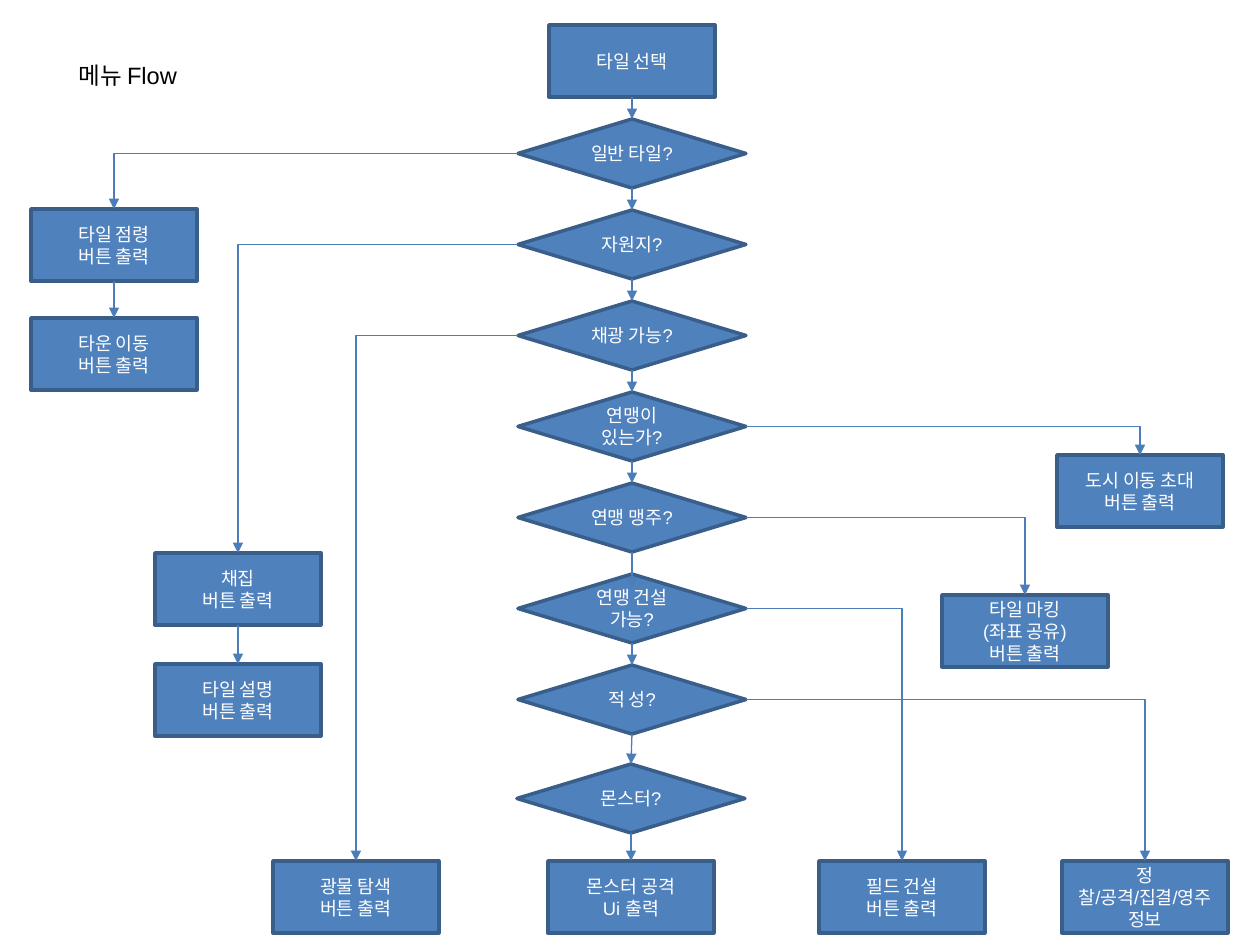
from dataclasses import dataclass

import pptx
import pptx.dml.color
import pptx.enum.shapes
import pptx.enum.text
import pptx.oxml.ns
import pptx.util
from lxml import etree

RGBColor = pptx.dml.color.RGBColor
MSO_SHAPE = pptx.enum.shapes.MSO_SHAPE
MSO_CONNECTOR = pptx.enum.shapes.MSO_CONNECTOR
MSO_ANCHOR = pptx.enum.text.MSO_ANCHOR
PP_ALIGN = pptx.enum.text.PP_ALIGN
qn = pptx.oxml.ns.qn

FILL = RGBColor(0x4F, 0x81, 0xBD)
BORDER = RGBColor(0x39, 0x5E, 0x89)
ARROW = RGBColor(0x4A, 0x7D, 0xBA)
WHITE = RGBColor(0xFF, 0xFF, 0xFF)
BLACK = RGBColor(0, 0, 0)

PX_PER_INCH = 126
BOX_W, BOX_H = 166, 72
DIAMOND_W, DIAMOND_H = 228, 69
DIAMOND_X, DIAMOND_Y, DIAMOND_PITCH = 518, 119, 91
RESULT_Y = 861
TOP, LEFT, BOTTOM, RIGHT = range(4)

NODE_FONT = {"name": "Arial", "size": pptx.util.Pt(10.5)}
TITLE_FONT = {"name": "Arial", "size": pptx.util.Pt(13.5), "bold": False}


@dataclass(frozen=True)
class Node:
    text: str
    x: int
    y: int
    w: int = BOX_W
    h: int = BOX_H
    kind: MSO_SHAPE = MSO_SHAPE.RECTANGLE

    def site(self, side: int) -> tuple[int, int]:
        return {
            TOP: (self.x + self.w // 2, self.y),
            LEFT: (self.x, self.y + self.h // 2),
            BOTTOM: (self.x + self.w // 2, self.y + self.h),
            RIGHT: (self.x + self.w, self.y + self.h // 2),
        }[side]


@dataclass(frozen=True)
class Link:
    start: str
    end: str
    side: int = BOTTOM
    overshoot: int = 0


def question(text: str, y: int, x: int = DIAMOND_X) -> Node:
    return Node(text, x, y, DIAMOND_W, DIAMOND_H, MSO_SHAPE.DIAMOND)


QUESTIONS = {
    "plain": "일반 타일?",
    "resource": "자원지?",
    "mining": "채광 가능?",
    "alliance": "연맹이 있는가?",
    "leader": "연맹 맹주?",
    "build": "연맹 건설 가능?",
    "enemy": "적 성?",
}
NODES = {
    "select": Node("타일 선택", 549, 25),
    **{key: question(text, DIAMOND_Y + i * DIAMOND_PITCH)
       for i, (key, text) in enumerate(QUESTIONS.items())},
    "monster": question("몬스터?", 764, DIAMOND_X - 1),
    "occupy": Node("타일 점령\n버튼 출력", 31, 209),
    "move_town": Node("타운 이동\n버튼 출력", 31, 318),
    "gather": Node("채집\n버튼 출력", 155, 553),
    "describe": Node("타일 설명\n버튼 출력", 155, 664),
    "explore": Node("광물 탐색\n버튼 출력", 273, RESULT_Y),
    "attack": Node("몬스터 공격\nUi 출력", 548, RESULT_Y),
    "field": Node("필드 건설\n버튼 출력", 819, RESULT_Y),
    "scout": Node("정찰/공격/집결/영주정보", 1062, RESULT_Y),
    "mark": Node("타일 마킹\n(좌표 공유)\n버튼 출력", 942, 595),
    "invite": Node("도시 이동 초대\n버튼 출력", 1057, 455),
}
MAIN_FLOW = ["select", *QUESTIONS, "monster", "attack"]
LINKS = [
    *(Link(a, b, overshoot=14 if b == "build" else 0)
      for a, b in zip(MAIN_FLOW, MAIN_FLOW[1:])),
    Link("occupy", "move_town"),
    Link("gather", "describe"),
    Link("plain", "occupy", LEFT),
    Link("resource", "gather", LEFT),
    Link("mining", "explore", LEFT),
    Link("alliance", "invite", RIGHT),
    Link("leader", "mark", RIGHT),
    Link("build", "field", RIGHT),
    Link("enemy", "scout", RIGHT),
]


def px(n: int) -> pptx.util.Emu:
    return pptx.util.Emu(round(n * 914400 / PX_PER_INCH))


def set_text(tf, text: str, align: PP_ALIGN, color: RGBColor, font: dict) -> None:
    tf.word_wrap = True
    for i, line in enumerate(text.split("\n")):
        p = tf.paragraphs[0] if i == 0 else tf.add_paragraph()
        p.alignment = align
        r = p.add_run()
        r.text = line
        for name, value in font.items():
            setattr(r.font, name, value)
        r.font.color.rgb = color


def draw_title(slide) -> None:
    title = slide.shapes.title
    place = {"left": 66, "top": 55, "width": 131, "height": 42}
    for name, value in place.items():
        setattr(title, name, px(value))
    tf = title.text_frame
    tf.vertical_anchor = MSO_ANCHOR.TOP
    set_text(tf, "메뉴 Flow", PP_ALIGN.LEFT, BLACK, TITLE_FONT)


def draw_node(slide, node: Node):
    sp = slide.shapes.add_shape(node.kind, *map(px, (node.x, node.y, node.w, node.h)))
    sp.shadow.inherit = False
    sp.fill.solid()
    sp.fill.fore_color.rgb = FILL
    sp.line.color.rgb = BORDER
    sp.line.width = pptx.util.Pt(2)
    sp.text_frame.vertical_anchor = MSO_ANCHOR.MIDDLE
    set_text(sp.text_frame, node.text, PP_ALIGN.CENTER, WHITE, NODE_FONT)
    return sp


def draw_link(slide, link: Link, shapes: dict) -> None:
    """Links run straight down, or sideways and then down with a single bend."""
    x1, y1 = NODES[link.start].site(link.side)
    x2, y2 = NODES[link.end].site(TOP)
    straight = link.side == BOTTOM
    kind = MSO_CONNECTOR.STRAIGHT if straight else MSO_CONNECTOR.ELBOW
    c = slide.shapes.add_connector(kind, *map(px, (x1, y1, x2, y2 + link.overshoot)))
    c.begin_connect(shapes[link.start], link.side)
    if not link.overshoot:
        c.end_connect(shapes[link.end], TOP)
    c.line.color.rgb = ARROW
    c.line.width = pptx.util.Pt(0.75)
    sp_pr = c._element.spPr
    if not straight:
        sp_pr.find(qn("a:prstGeom")).set("prst", "bentConnector2")
    etree.SubElement(sp_pr.find(qn("a:ln")), qn("a:tailEnd"), type="triangle")
    etree.SubElement(sp_pr, qn("a:effectLst"))


def main() -> None:
    prs = pptx.Presentation()
    prs.slide_width = pptx.util.Inches(10)
    prs.slide_height = pptx.util.Inches(7.5)
    slide = prs.slides.add_slide(prs.slide_layouts.get_by_name("Title Only"))
    draw_title(slide)
    shapes = {key: draw_node(slide, node) for key, node in NODES.items()}
    for link in LINKS:
        draw_link(slide, link, shapes)
    prs.save("out.pptx")


if __name__ == "__main__":
    main()
